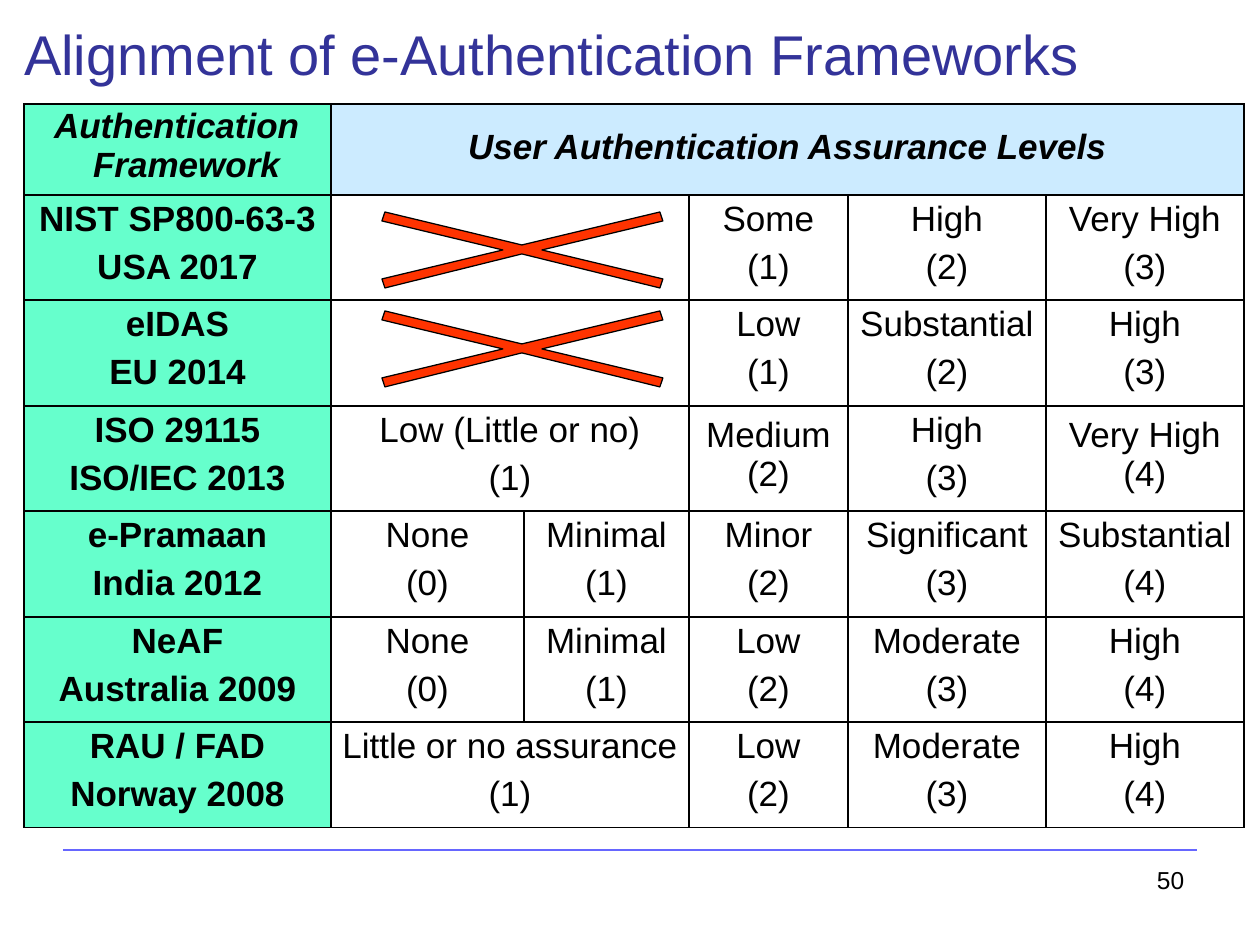
import pptx
import pptx.util
import pptx.dml.color
import pptx.enum.shapes
import pptx.enum.text
from lxml import etree

PX = 914400 // 126
C = {"title": "333399", "text": "000000", "framework": "66FFCC", "header": "CCEBFF",
     "cross": "FF3300", "rule": "6666FF", "border": "000000"}
A = "http://schemas.openxmlformats.org/drawingml/2006/main"
ALIGN = pptx.enum.text.PP_ALIGN

# Content: framework, then (columns spanned, level, number)
TITLE = "Alignment of e-Authentication Frameworks"
HEADERS = ("Authentication Framework", "User Authentication Assurance Levels")
ROWS = [
    (("NIST SP800-63-3", "USA 2017"),
     [(2,), (1, "Some", "(1)"), (1, "High", "(2)"), (1, "Very High", "(3)")]),
    (("eIDAS", "EU 2014"),
     [(2,), (1, "Low", "(1)"), (1, "Substantial", "(2)"), (1, "High", "(3)")]),
    (("ISO 29115", "ISO/IEC 2013"),
     [(2, "Low (Little or no)", "(1)"), (1, "Medium", "(2)"), (1, "High", "(3)"),
      (1, "Very High", "(4)")]),
    (("e-Pramaan", "India 2012"),
     [(1, "None", "(0)"), (1, "Minimal", "(1)"), (1, "Minor", "(2)"),
      (1, "Significant", "(3)"), (1, "Substantial", "(4)")]),
    (("NeAF", "Australia 2009"),
     [(1, "None", "(0)"), (1, "Minimal", "(1)"), (1, "Low", "(2)"),
      (1, "Moderate", "(3)"), (1, "High", "(4)")]),
    (("RAU / FAD", "Norway 2008"),
     [(2, "Little or no assurance", "(1)"), (1, "Low", "(2)"), (1, "Moderate", "(3)"),
      (1, "High", "(4)")]),
]
TIGHT = {(3, 3), (3, 5)}  # cells whose two lines sit close together
COL_W = (307, 193, 165, 159, 198, 198)
ROW_H = (91,) + (105, 106) * 3
CROSS = [(0, 9), (3, 0), (140, 33), (278, 0), (281, 9), (160, 38),
         (281, 67), (278, 76), (140, 42), (3, 76), (0, 67), (121, 38)]
CROSS_AT = [(382, 212), (382, 311)]


def px(n):
    return pptx.util.Emu(n * PX)


def rgb(name):
    return pptx.dml.color.RGBColor.from_string(C[name])


def write(tf, lines, size=20, color="text", bold=False, italic=False,
          align=ALIGN.CENTER, gap=0, line=None, hang=None):
    for i, text in enumerate(lines):
        p = tf.paragraphs[0] if i == 0 else tf.add_paragraph()
        p.alignment = align
        if i:
            p.space_before = pptx.util.Pt(gap)
        if line:
            p.line_spacing = pptx.util.Pt(line)
        if hang:
            pPr = p._p.get_or_add_pPr()
            pPr.set("marL", str(px(hang[0])))
            pPr.set("indent", str(px(hang[1])))
        r = p.add_run()
        r.text = text
        f = r.font
        f.name, f.size, f.bold, f.italic = "Arial", pptx.util.Pt(size), bold, italic
        f.color.rgb = rgb(color)


def add_text(s, box, text, **fmt):
    tf = s.shapes.add_textbox(*map(px, box)).text_frame
    tf.word_wrap = True
    tf.margin_left = tf.margin_right = tf.margin_top = tf.margin_bottom = 0
    write(tf, [text], align=ALIGN.LEFT, **fmt)


def style_cell(cell, fill=None, top=5):
    cell.margin_left = cell.margin_right = cell.margin_bottom = 0
    cell.margin_top = px(top)
    tcPr = cell._tc.get_or_add_tcPr()
    for side in ("lnL", "lnR", "lnT", "lnB"):
        ln = etree.SubElement(tcPr, f"{{{A}}}{side}", w="12700")
        solid = etree.SubElement(ln, f"{{{A}}}solidFill")
        etree.SubElement(solid, f"{{{A}}}srgbClr", val=C["border"])
    if fill:
        cell.fill.solid()
        cell.fill.fore_color.rgb = rgb(fill)
    else:
        cell.fill.background()


def add_levels_table(s):
    frame = s.shapes.add_table(len(ROW_H), len(COL_W), px(24), px(104),
                               px(sum(COL_W)), px(sum(ROW_H)))
    table = frame.table
    table.horz_banding = table.first_row = False
    for col, w in zip(table.columns, COL_W):
        col.width = px(w)
    for row, h in zip(table.rows, ROW_H):
        row.height = px(h)

    # Header row
    for c in range(len(COL_W)):
        style_cell(table.cell(0, c), "header" if c else "framework", 24 if c else 3)
    table.cell(0, 1).merge(table.cell(0, len(COL_W) - 1))
    write(table.cell(0, 0).text_frame, HEADERS[:1], bold=True, italic=True,
          align=ALIGN.LEFT, hang=(69, -39))
    write(table.cell(0, 1).text_frame, HEADERS[1:], bold=True, italic=True)

    # Framework rows
    for r, (framework, levels) in enumerate(ROWS, 1):
        for c in range(len(COL_W)):
            style_cell(table.cell(r, c), None if c else "framework",
                       10 if (r, c) in TIGHT else 5)
        write(table.cell(r, 0).text_frame, framework, bold=True, gap=5)
        c = 1
        for span, *lines in levels:
            cell = table.cell(r, c)
            if span > 1:
                cell.merge(table.cell(r, c + span - 1))
            write(cell.text_frame, lines, gap=0 if (r, c) in TIGHT else 5)
            c += span


def add_cross(s, left, top):
    pts = [(left + x, top + y) for x, y in CROSS]
    fb = s.shapes.build_freeform(*pts[0], scale=PX)
    fb.add_line_segments(pts[1:], close=True)
    sp = fb.convert_to_shape()
    sp.shadow.inherit = False
    sp.fill.solid()
    sp.fill.fore_color.rgb = rgb("cross")
    sp.line.color.rgb = rgb("border")
    sp.line.width = pptx.util.Pt(0.72)


def main():
    prs = pptx.Presentation()
    prs.slide_width, prs.slide_height = px(1260), px(945)
    s = prs.slides.add_slide(prs.slide_layouts[6])

    # Footer rule
    rule = s.shapes.add_connector(pptx.enum.shapes.MSO_CONNECTOR.STRAIGHT,
                                  px(63), px(850), px(1197), px(850))
    rule.line.color.rgb = rgb("rule")
    rule.line.width = pptx.util.Pt(0.72)
    etree.SubElement(rule._element.spPr, f"{{{A}}}effectLst")

    # Title, table, crosses over the missing levels, page number
    add_text(s, (24, 19, 1090, 70), TITLE, size=32, color="title")
    add_levels_table(s)
    for left, top in CROSS_AT:
        add_cross(s, left, top)
    add_text(s, (1157, 866, 38, 31), "50", size=14, line=16.5)

    prs.save("out.pptx")


if __name__ == "__main__":
    main()
